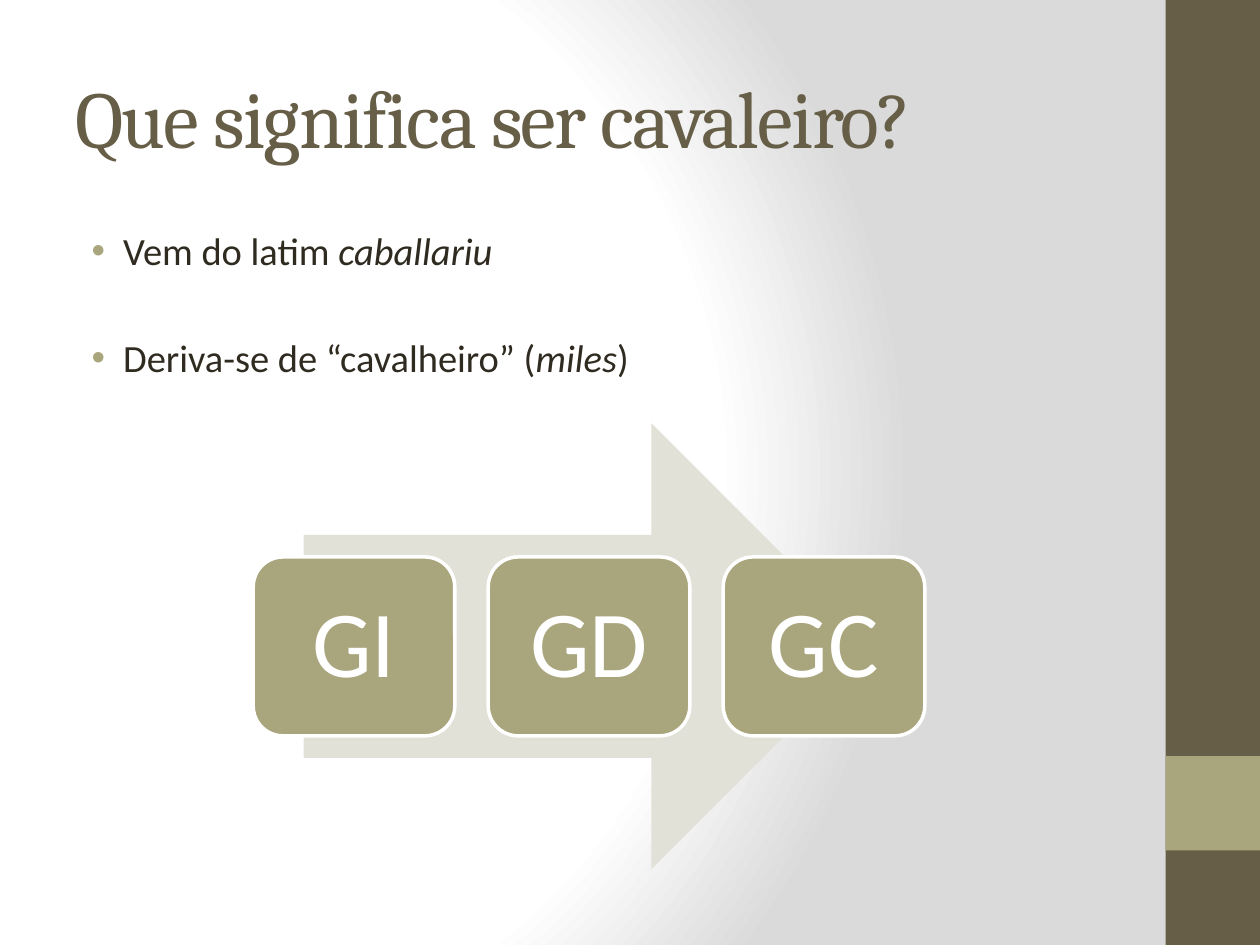
from lxml import etree
from pptx import Presentation, util as u
from pptx.dml.color import RGBColor
from pptx.enum import shapes, text
from pptx.oxml.ns import qn

IN = u.Inches
KIND = shapes.MSO_SHAPE

TITLE = "Que significa ser cavaleiro?"
POINTS = [
    [("Vem do latim ", False), ("caballariu", True)],
    [("Deriva-se de “cavalheiro” (", False), ("miles", True), (")", False)],
]
STEPS = ["GI", "GD", "GC"]

THEME = {
    "brown": "675E47", "olive": "A9A57C", "pale": "E2E1D7",
    "ink": "2F2B20", "white": "FFFFFF",
    "back": [(0, "FFFFFF"), (75, "FFFFFF"), (100, "DADADA")],
    "title": {"name": "Cambria", "size": u.Pt(46)},
    "body": {"name": "Calibri", "size": u.Pt(22)},
    "step": {"name": "Calibri", "size": u.Pt(54)},
}


def put(obj, vals):
    for key, val in vals.items():
        setattr(obj, key, val)


def sub(node, tag, **attrs):
    return etree.SubElement(node, qn(tag), attrs)


def paint(slide):
    """Fill the background with a circular gradient centred left of the middle."""
    slide.background.fill.gradient()
    grad = next(slide.element.iter(qn("a:gradFill")))
    for kid in list(grad):
        grad.remove(kid)
    stops = sub(grad, "a:gsLst")
    for pos, tone in THEME["back"]:
        sub(sub(stops, "a:gs", pos=str(pos * 1000)), "a:srgbClr", val=tone)
    ring = sub(grad, "a:path", **{"path": "circle"})
    sub(ring, "a:fillToRect", l="20000", t="50000", r="100000", b="50000")


def block(slide, kind, box, tone, edge=None):
    shape = slide.shapes.add_shape(kind, *map(IN, box))
    shape.shadow.inherit = False
    shape.fill.solid()
    shape.fill.fore_color.rgb = RGBColor.from_string(THEME[tone])
    if edge:
        shape.line.color.rgb = RGBColor.from_string(THEME[edge])
        shape.line.width = u.Pt(2)
    else:
        shape.line.fill.background()
    return shape


def area(slide, box, anchor):
    frame = slide.shapes.add_textbox(*map(IN, box)).text_frame
    put(frame, {"word_wrap": True, "vertical_anchor": anchor})
    return frame


def write(para, words, style, tone, italic=False):
    run = para.add_run()
    run.text = words
    put(run.font, {**THEME[style], "italic": italic})
    run.font.color.rgb = RGBColor.from_string(THEME[tone])
    return run


def bullet(para):
    props = para._p.get_or_add_pPr()
    props.set("marL", str(IN(0.38)))
    props.set("indent", str(IN(-0.25)))
    sub(sub(props, "a:buClr"), "a:srgbClr", val=THEME["olive"])
    sub(props, "a:buFont", typeface="Arial")
    sub(props, "a:buChar", char="•")


def main():
    deck = Presentation()
    put(deck, {"slide_width": IN(10), "slide_height": IN(7.5)})
    slide = deck.slides.add_slide(deck.slide_layouts[6])
    paint(slide)
    block(slide, KIND.RECTANGLE, (9.25, 0, 0.75, 7.5), "brown")
    block(slide, KIND.RECTANGLE, (9.25, 6, 0.75, 0.75), "olive")

    head = area(slide, (0.5, 0.3, 8.33, 1.25), text.MSO_ANCHOR.MIDDLE)
    run = write(head.paragraphs[0], TITLE, "title", "brown")
    run.font._element.set("spc", "-100")

    body = area(slide, (0.5, 1.75, 8.33, 5.25), text.MSO_ANCHOR.TOP)
    for num, parts in enumerate(POINTS):
        para = body.add_paragraph() if num else body.paragraphs[0]
        para.space_before = u.Pt(35 if num else 4)
        bullet(para)
        for words, italic in parts:
            write(para, words, "body", "ink", italic)

    block(slide, KIND.RIGHT_ARROW, (2.41, 3.36, 4.53, 3.54), "pale")
    left, wide, gap = 2.01, 1.6, 0.265
    for num, name in enumerate(STEPS):
        box = (left + num * (wide + gap), 4.42, wide, 1.42)
        frame = block(slide, KIND.ROUNDED_RECTANGLE, box, "olive", "white").text_frame
        put(frame, {"word_wrap": False, "vertical_anchor": text.MSO_ANCHOR.MIDDLE})
        para = frame.paragraphs[0]
        put(para, {"alignment": text.PP_ALIGN.CENTER, "line_spacing": 0.9})
        write(para, name, "step", "white")

    deck.save("out.pptx")


if __name__ == "__main__":
    main()
